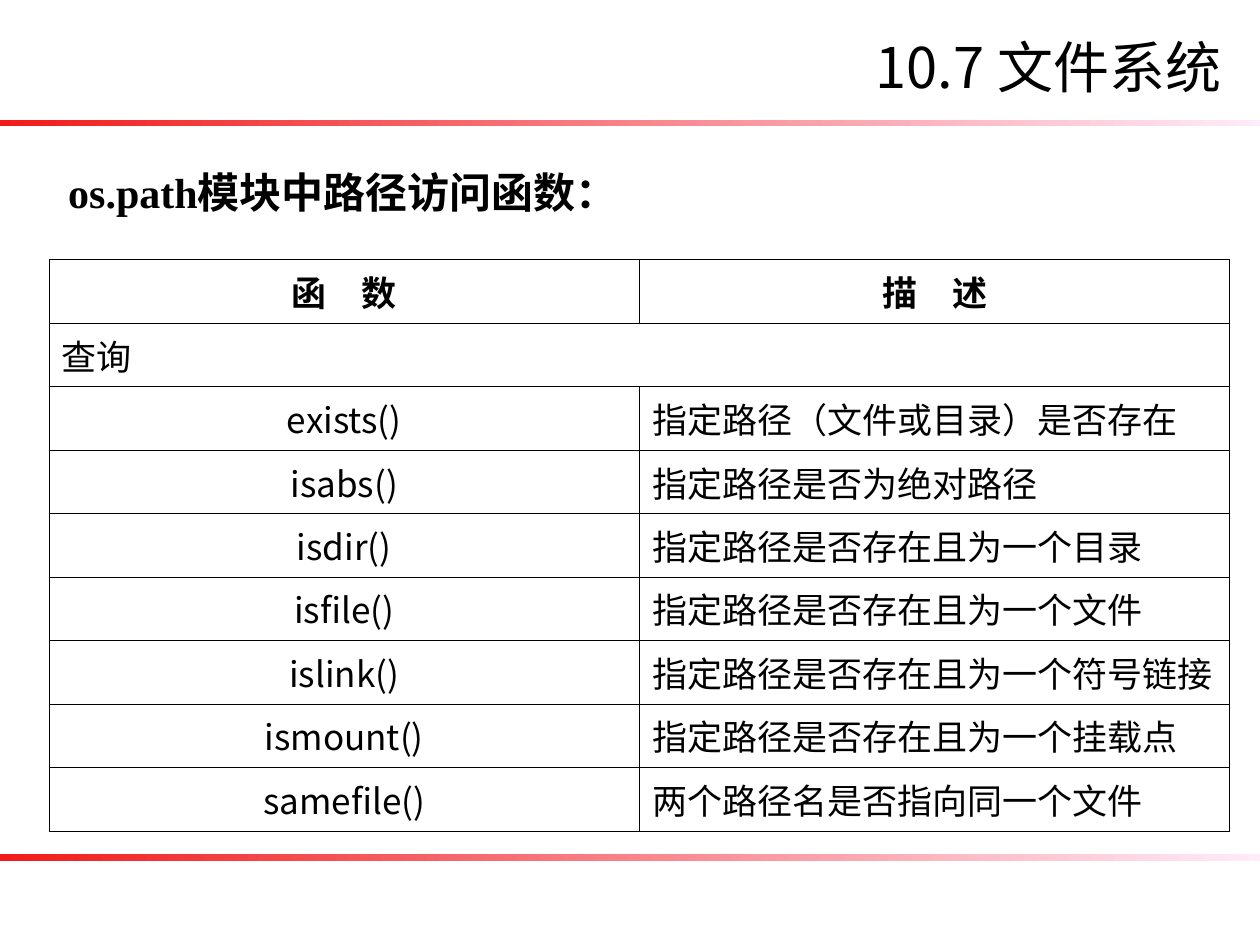
from lxml import etree
from pptx import Presentation
from pptx import util as u
from pptx.dml import color
from pptx.enum import shapes, text
from pptx.oxml import ns

COLOURS = {"ink": "000000", "paper": "FFFFFF", "bar_start": "F21B1A", "bar_end": "FFEBFA"}
SANS = "Noto Sans CJK SC"
SERIF = "Times New Roman"
HEADINGS = ("函　数", "描　述")
GROUP = "查询"
FUNCTIONS = [
    ("exists()", "指定路径（文件或目录）是否存在"),
    ("isabs()", "指定路径是否为绝对路径"),
    ("isdir()", "指定路径是否存在且为一个目录"),
    ("isfile()", "指定路径是否存在且为一个文件"),
    ("islink()", "指定路径是否存在且为一个符号链接"),
    ("ismount()", "指定路径是否存在且为一个挂载点"),
    ("samefile()", "两个路径名是否指向同一个文件"),
]


def rgb(name):
    return color.RGBColor.from_string(COLOURS[name])


def add_span(para, words, size, latin=SANS, bold=False):
    span = para.add_run()
    span.text = words
    span.font.size = u.Pt(size)
    span.font.bold = bold
    span.font.name = latin
    span.font.color.rgb = rgb("ink")
    east_asian = etree.SubElement(span.font._element, ns.qn("a:ea"))
    east_asian.set("typeface", SANS)


def place(box, left, top, width, height):
    box.left, box.top = u.Cm(left), u.Cm(top)
    box.width, box.height = u.Cm(width), u.Cm(height)
    frame = box.text_frame
    frame.auto_size = text.MSO_AUTO_SIZE.NONE
    frame.vertical_anchor = text.MSO_ANCHOR.TOP
    para = frame.paragraphs[0]
    para.alignment = text.PP_ALIGN.LEFT
    para.space_before = u.Pt(0)
    return para


def add_bar(page, left, top, width, height):
    bar = page.shapes.add_shape(
        shapes.MSO_SHAPE.RECTANGLE, u.Cm(left), u.Cm(top), u.Cm(width), u.Cm(height))
    bar.shadow.inherit = False
    bar.line.fill.background()
    bar.fill.gradient()
    bar.fill.gradient_angle = 0
    for stop, position, name in zip(bar.fill.gradient_stops, (0, 1), ("bar_start", "bar_end")):
        stop.position = position
        stop.color.rgb = rgb(name)


def fill_title(page, left, top, width, height):
    para = place(page.shapes.title, left, top, width, height)
    page.shapes.title.text_frame.word_wrap = False
    add_span(para, "10.7 文件系统", 32)


def fill_lead(page, left, top, width, height):
    para = place(page.placeholders[1], left, top, width, height)
    properties = para._p.get_or_add_pPr()
    properties.set("marL", "0")
    properties.set("indent", "0")
    etree.SubElement(properties, ns.qn("a:buNone"))
    para.line_spacing = 1.5
    add_span(para, "os.path模块中路径访问函数：", 24, SERIF, True)


def add_borders(cell):
    properties = cell._tc.get_or_add_tcPr()
    for index, side in enumerate(("lnL", "lnR", "lnT", "lnB")):
        line = etree.Element(ns.qn("a:" + side), w=str(u.Pt(0.45)))
        solid = etree.SubElement(line, ns.qn("a:solidFill"))
        etree.SubElement(solid, ns.qn("a:srgbClr"), val=COLOURS["ink"])
        properties.insert(index, line)


def add_function_table(page, left, top, width, height):
    rows = [HEADINGS, (GROUP, ""), *FUNCTIONS]
    table = page.shapes.add_table(
        len(rows), 2, u.Cm(left), u.Cm(top), u.Cm(width), u.Cm(height)).table
    table.horz_banding = False
    for row_index, row in enumerate(rows):
        for column_index, words in enumerate(row):
            cell = table.cell(row_index, column_index)
            cell.vertical_anchor = text.MSO_ANCHOR.MIDDLE
            cell.fill.solid()
            cell.fill.fore_color.rgb = rgb("paper")
            add_borders(cell)
            para = cell.text_frame.paragraphs[0]
            centred = row is HEADINGS or (column_index == 0 and words != GROUP)
            para.alignment = text.PP_ALIGN.CENTER if centred else text.PP_ALIGN.LEFT
            if words:
                add_span(para, words, 20, bold=row is HEADINGS)
    table.cell(1, 0).merge(table.cell(1, 1))


def main():
    deck = Presentation()
    deck.slide_width, deck.slide_height = u.Cm(25.4), u.Cm(19.05)
    page = deck.slides.add_slide(deck.slide_layouts[1])
    for top in (2.42, 17.22):
        add_bar(page, 0, top, 25.4, 0.13)
    add_function_table(page, 0.99, 5.23, 23.8, 11.52)
    fill_title(page, 17.4, 0.53, 7.8, 1.22)
    fill_lead(page, 1.12, 2.72, 23.7, 2)
    deck.save("out.pptx")


if __name__ == "__main__":
    main()
